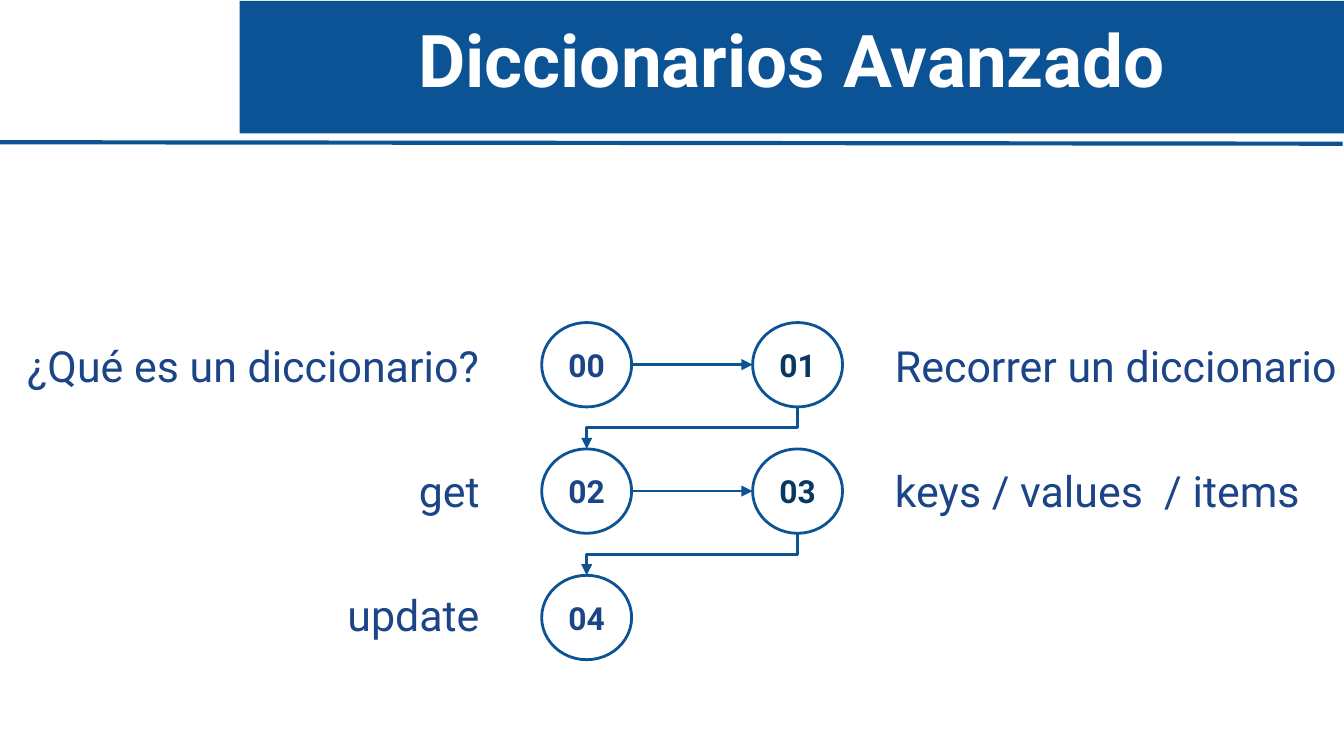
from dataclasses import dataclass

from lxml import etree
from pptx import Presentation
from pptx.dml.color import RGBColor
from pptx.enum.shapes import MSO_CONNECTOR, MSO_SHAPE
from pptx.enum.text import MSO_ANCHOR, PP_ALIGN
from pptx.oxml.ns import qn
from pptx.util import Pt

RECT, DISC = MSO_SHAPE.RECTANGLE, MSO_SHAPE.FLOWCHART_CONNECTOR
LINE, ELBOW = MSO_CONNECTOR.STRAIGHT, MSO_CONNECTOR.ELBOW
TOP, MIDDLE = MSO_ANCHOR.TOP, MSO_ANCHOR.MIDDLE
LEFT, CENTER, RIGHT = PP_ALIGN.LEFT, PP_ALIGN.CENTER, PP_ALIGN.RIGHT


@dataclass(frozen=True)
class Theme:
    font: str = "Roboto"
    blue: str = "0B5394"
    ink: str = "1C4587"
    navy: str = "073763"
    white: str = "FFFFFF"
    title: float = 39
    label: float = 23
    number: float = 17
    rule: float = 2.25
    edge: float = 1.5


@dataclass(frozen=True)
class Step:
    """One topic: its number, label, and place in the grid."""
    number: str
    label: str
    row: int
    col: int


@dataclass(frozen=True)
class Column:
    """Left edge of the discs, with the label box beside them."""
    disc: float
    label: float
    width: float
    align: PP_ALIGN
    color: str


THEME = Theme()
COLUMNS = (
    Column(290.2, -14.4, 278.5, RIGHT, THEME.ink),
    Column(403.2, 472.3, 289.4, LEFT, THEME.navy),
)
STEPS = (
    Step("00", "¿Qué es un diccionario?", 0, 0),
    Step("01", "Recorrer un diccionario", 0, 1),
    Step("02", "get", 1, 0),
    Step("03", "keys / values  / items", 1, 1),
    Step("04", "update", 2, 0),
)
DISC_W, DISC_H = 48.2, 45.2
DISC_TOP, DISC_STEP = 172.8, 67.7
LABEL_TOP, LABEL_STEP, LABEL_H = 175, 66.6, 41
PAD = 7.2


def rgb(code: str) -> RGBColor:
    return RGBColor.from_string(code)


def write(shape, text: str, size: float, color: str, align: PP_ALIGN,
          anchor: MSO_ANCHOR = TOP, bold: bool = False, wrap: bool = True) -> None:
    frame = shape.text_frame
    frame.text = text
    frame.word_wrap = wrap
    frame.vertical_anchor = anchor
    frame.margin_left = frame.margin_right = Pt(PAD)
    frame.margin_top = frame.margin_bottom = Pt(PAD)
    para = frame.paragraphs[0]
    para.alignment = align
    font = para.runs[0].font
    font.name, font.size, font.bold = THEME.font, Pt(size), bold
    font.color.rgb = rgb(color)


def add_line(slide, kind: MSO_CONNECTOR, x1: float, y1: float,
             x2: float, y2: float, width: float):
    line = slide.shapes.add_connector(kind, Pt(x1), Pt(y1), Pt(x2), Pt(y2))
    line.line.color.rgb = rgb(THEME.blue)
    line.line.width = Pt(width)
    etree.SubElement(line._element.spPr, qn("a:effectLst"))
    return line


def add_arrow(slide, x1: float, y1: float, x2: float, y2: float,
              turn: bool = False) -> None:
    """Elbow arrow; with turn it leaves and arrives vertically."""
    if turn:
        mid_x, mid_y = (x1 + x2) / 2, (y1 + y2) / 2
        half_w, half_h = (y2 - y1) / 2, (x1 - x2) / 2
        x1, x2 = mid_x - half_w, mid_x + half_w
        y1, y2 = mid_y - half_h, mid_y + half_h
    arrow = add_line(slide, ELBOW, x1, y1, x2, y2, THEME.edge)
    if turn:
        arrow._element.spPr.find(qn("a:xfrm")).set("rot", "5400000")
    etree.SubElement(arrow.line._get_or_add_ln(), qn("a:tailEnd"), type="triangle")


def add_title(slide, text: str) -> None:
    band = slide.shapes.add_shape(RECT, Pt(128.4), Pt(0.5), Pt(591.6), Pt(71))
    band.shadow.inherit = False
    band.fill.solid()
    band.fill.fore_color.rgb = rgb(THEME.blue)
    band.line.fill.background()
    write(band, text, THEME.title, THEME.white, CENTER, bold=True)


def disc_top(row: int) -> float:
    return DISC_TOP + row * DISC_STEP


def add_step(slide, step: Step) -> None:
    col = COLUMNS[step.col]
    box = slide.shapes.add_textbox(
        Pt(col.label), Pt(LABEL_TOP + step.row * LABEL_STEP),
        Pt(col.width), Pt(LABEL_H))
    write(box, step.label, THEME.label, THEME.ink, col.align)

    disc = slide.shapes.add_shape(
        DISC, Pt(col.disc), Pt(disc_top(step.row)), Pt(DISC_W), Pt(DISC_H))
    disc.shadow.inherit = False
    disc.fill.solid()
    disc.fill.fore_color.rgb = rgb(THEME.white)
    tint = disc._element.spPr.find(qn("a:solidFill"))[0]
    etree.SubElement(tint, qn("a:alpha"), val="6000")
    disc.line.color.rgb = rgb(THEME.blue)
    disc.line.width = Pt(THEME.edge)
    write(disc, step.number, THEME.number, col.color, CENTER, MIDDLE,
          bold=True, wrap=False)


def link(slide, start: Step, end: Step) -> None:
    """Arrow across a row, or down to the start of the next one."""
    x1, x2 = COLUMNS[start.col].disc, COLUMNS[end.col].disc
    y1, y2 = disc_top(start.row), disc_top(end.row)
    if start.row == end.row:
        mid = y1 + DISC_H / 2
        add_arrow(slide, x1 + DISC_W, mid, x2, mid)
    else:
        add_arrow(slide, x1 + DISC_W / 2, y1 + DISC_H, x2 + DISC_W / 2, y2,
                  turn=True)


def main() -> None:
    deck = Presentation()
    deck.slide_width, deck.slide_height = Pt(720), Pt(405)
    slide = deck.slides.add_slide(deck.slide_layouts[6])
    add_title(slide, "Diccionarios Avanzado")
    add_line(slide, LINE, -0.7, 76.2, 719.3, 77, THEME.rule)
    for step in STEPS:
        add_step(slide, step)
    for start, end in zip(STEPS, STEPS[1:]):
        link(slide, start, end)
    deck.save("out.pptx")


if __name__ == "__main__":
    main()
